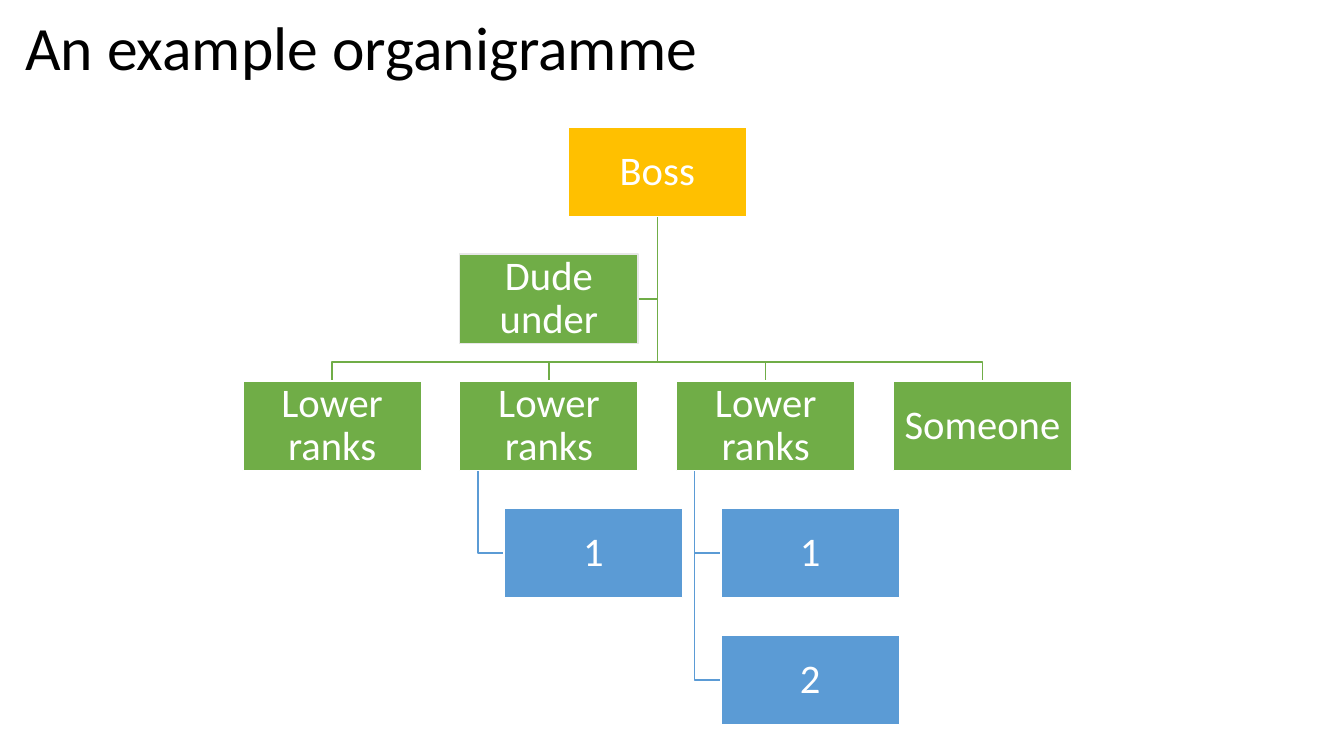
"""Build a slide with a small organisation chart."""
import pptx
import pptx.dml.color
import pptx.enum.shapes
import pptx.enum.text
import pptx.util

Inches = pptx.util.Inches

TITLE = "An example organigramme"
GOLD, GREEN, BLUE = "FFC000", "70AD47", "5B9BD5"
WHITE, GREY, BLACK = "FFFFFF", "E7E7E7", "000000"

BOSS = ("Boss", 1.5, 0)
ASSISTANT = ("Dude under", 1, 1)
TEAMS = [
    ("Lower ranks", []),
    ("Lower ranks", ["1"]),
    ("Lower ranks", ["1", "2"]),
    ("Someone", []),
]

LEFT, TOP = 2.41, 1.26
COLUMN_STEP, ROW_STEP = 2.15, 1.26
BOX_WIDTH, BOX_HEIGHT = 1.77, 0.89
MEMBER_INDENT, STEM_INDENT = 0.44, 0.18
BUS_GAP = 0.19
TEAM_ROW = 2


def color(value):
    return pptx.dml.color.RGBColor.from_string(value)


def write(frame, text, size, ink, align, margin=None):
    frame.word_wrap = True
    frame.auto_size = pptx.enum.text.MSO_AUTO_SIZE.NONE
    frame.vertical_anchor = pptx.enum.text.MSO_ANCHOR.MIDDLE
    if margin is not None:
        frame.margin_left = frame.margin_right = Inches(margin)
        frame.margin_top = frame.margin_bottom = Inches(margin)
    para = frame.paragraphs[0]
    para.alignment = align
    para.line_spacing = 0.9
    span = para.add_run()
    span.text = text
    span.font.name = "Calibri"
    span.font.size = pptx.util.Pt(size)
    span.font.color.rgb = color(ink)


def corner(column, row):
    return LEFT + column * COLUMN_STEP, TOP + row * ROW_STEP


def add_box(page, text, left, top, fill, outline=WHITE):
    box = page.shapes.add_shape(
        pptx.enum.shapes.MSO_SHAPE.RECTANGLE,
        Inches(left), Inches(top), Inches(BOX_WIDTH), Inches(BOX_HEIGHT))
    box.shadow.inherit = False
    box.fill.solid()
    box.fill.fore_color.rgb = color(fill)
    box.line.color.rgb = color(outline)
    box.line.width = pptx.util.Pt(1)
    write(box.text_frame, text, 29, WHITE, pptx.enum.text.PP_ALIGN.CENTER, margin=0.02)


def add_branch(page, points, ink):
    start, *others = [(Inches(x), Inches(y)) for x, y in points]
    builder = page.shapes.build_freeform(*start)
    builder.add_line_segments(others, close=False)
    branch = builder.convert_to_shape()
    branch.shadow.inherit = False
    branch.fill.background()
    branch.line.color.rgb = color(ink)
    branch.line.width = pptx.util.Pt(1)


def add_chart_lines(page):
    boss_left, boss_top = corner(*BOSS[1:])
    trunk, boss_bottom = boss_left + BOX_WIDTH / 2, boss_top + BOX_HEIGHT
    left, top = corner(*ASSISTANT[1:])
    middle = top + BOX_HEIGHT / 2
    add_branch(page, [(trunk, boss_bottom), (trunk, middle), (left + BOX_WIDTH, middle)], GREEN)
    for column, (_, members) in enumerate(TEAMS):
        left, top = corner(column, TEAM_ROW)
        center, bus = left + BOX_WIDTH / 2, top - BUS_GAP
        add_branch(page, [(trunk, boss_bottom), (trunk, bus), (center, bus), (center, top)], GREEN)
        stem = left + STEM_INDENT
        for step in range(1, len(members) + 1):
            middle = top + step * ROW_STEP + BOX_HEIGHT / 2
            add_branch(page, [(stem, top + BOX_HEIGHT), (stem, middle),
                              (left + MEMBER_INDENT, middle)], BLUE)


def add_chart_boxes(page):
    add_box(page, BOSS[0], *corner(*BOSS[1:]), GOLD)
    for column, (team, members) in enumerate(TEAMS):
        left, top = corner(column, TEAM_ROW)
        add_box(page, team, left, top, GREEN)
        for step, member in enumerate(members, 1):
            add_box(page, member, left + MEMBER_INDENT, top + step * ROW_STEP, BLUE)
    add_box(page, ASSISTANT[0], *corner(*ASSISTANT[1:]), GREEN, outline=GREY)


def main():
    deck = pptx.Presentation()
    deck.slide_width, deck.slide_height = Inches(13.33), Inches(7.5)
    page = deck.slides.add_slide(deck.slide_layouts[5])
    title = page.shapes.title
    title.left, title.top = Inches(0.15), Inches(0)
    title.width, title.height = Inches(7.17), Inches(1)
    write(title.text_frame, TITLE, 44, BLACK, pptx.enum.text.PP_ALIGN.LEFT)
    add_chart_lines(page)
    add_chart_boxes(page)
    deck.save("out.pptx")


if __name__ == "__main__":
    main()
